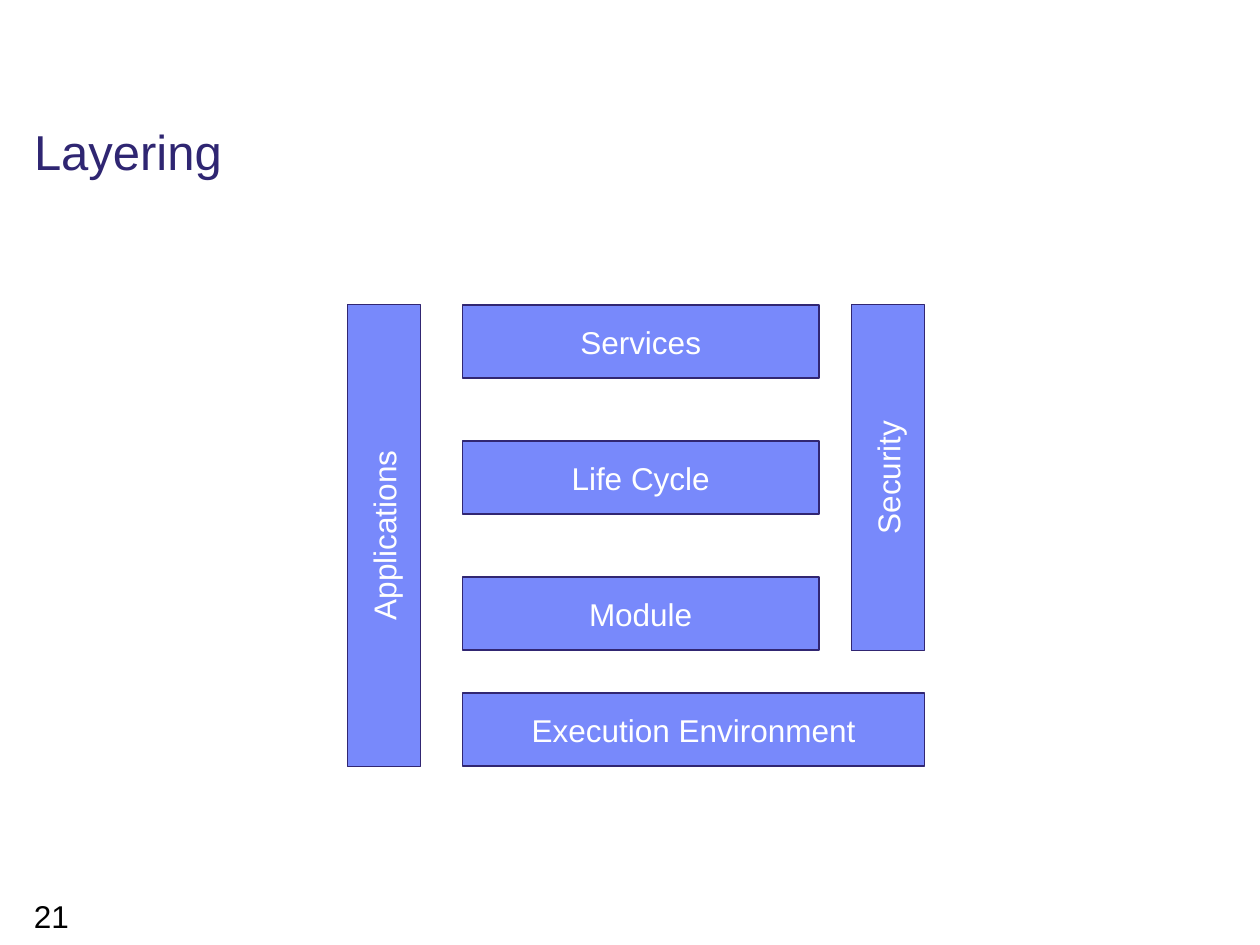
from pptx import Presentation
from pptx.dml.color import RGBColor
from pptx.enum.shapes import MSO_SHAPE
from pptx.enum.text import MSO_ANCHOR, PP_ALIGN
from pptx.util import Inches, Pt

NAVY = RGBColor(0x2F, 0x26, 0x72)
OUTLINE = RGBColor(0x31, 0x26, 0x72)
PERIWINKLE = RGBColor(0x78, 0x89, 0xFB)
WHITE = RGBColor(0xFF, 0xFF, 0xFF)
BLACK = RGBColor(0x00, 0x00, 0x00)


def format_text(paragraph, size, color, alignment):
    paragraph.alignment = alignment
    for run in paragraph.runs:
        run.font.name = "Arial"
        run.font.size = Pt(size)
        run.font.color.rgb = color


presentation = Presentation()
presentation.slide_width = Inches(10)
presentation.slide_height = Inches(7.5)
slide = presentation.slides.add_slide(presentation.slide_layouts[5])

title = slide.shapes.title
title.left, title.top = Inches(0.17), Inches(0.95)
title.width, title.height = Inches(9.02), Inches(0.55)
title.text_frame.text = "Layering"
title.text_frame.vertical_anchor = MSO_ANCHOR.MIDDLE
title.text_frame.paragraphs[0].line_spacing = 0.9
format_text(title.text_frame.paragraphs[0], 28, NAVY, PP_ALIGN.LEFT)

page_number = slide.shapes.add_textbox(Inches(0.17), Inches(7.07), Inches(1.1), Inches(0.35))
page_number.text_frame.word_wrap = True
page_number.text_frame.text = "21"
format_text(page_number.text_frame.paragraphs[0], 18, BLACK, PP_ALIGN.LEFT)

LAYER_LEFT = 3.67
LAYER_HEIGHT = 0.58
layers = [
    ("Module", LAYER_LEFT, 4.58, 2.83, 0),
    ("Life Cycle", LAYER_LEFT, 3.5, 2.83, 0),
    ("Services", LAYER_LEFT, 2.42, 2.83, 0),
    ("Security", 5.67, 3.5, 2.75, 270),
    ("Execution Environment", LAYER_LEFT, 5.5, 3.67, 0),
    ("Applications", 1.21, 3.96, 3.67, 270),
]
for label, left, top, width, rotation in layers:
    layer = slide.shapes.add_shape(
        MSO_SHAPE.RECTANGLE, Inches(left), Inches(top), Inches(width), Inches(LAYER_HEIGHT)
    )
    layer.rotation = rotation
    layer.shadow.inherit = False
    layer.fill.solid()
    layer.fill.fore_color.rgb = PERIWINKLE
    layer.line.color.rgb = OUTLINE
    layer.line.width = Pt(0.75)
    layer.text_frame.word_wrap = False
    layer.text_frame.vertical_anchor = MSO_ANCHOR.MIDDLE
    layer.text_frame.text = label
    format_text(layer.text_frame.paragraphs[0], 18, WHITE, PP_ALIGN.CENTER)

presentation.save("out.pptx")
